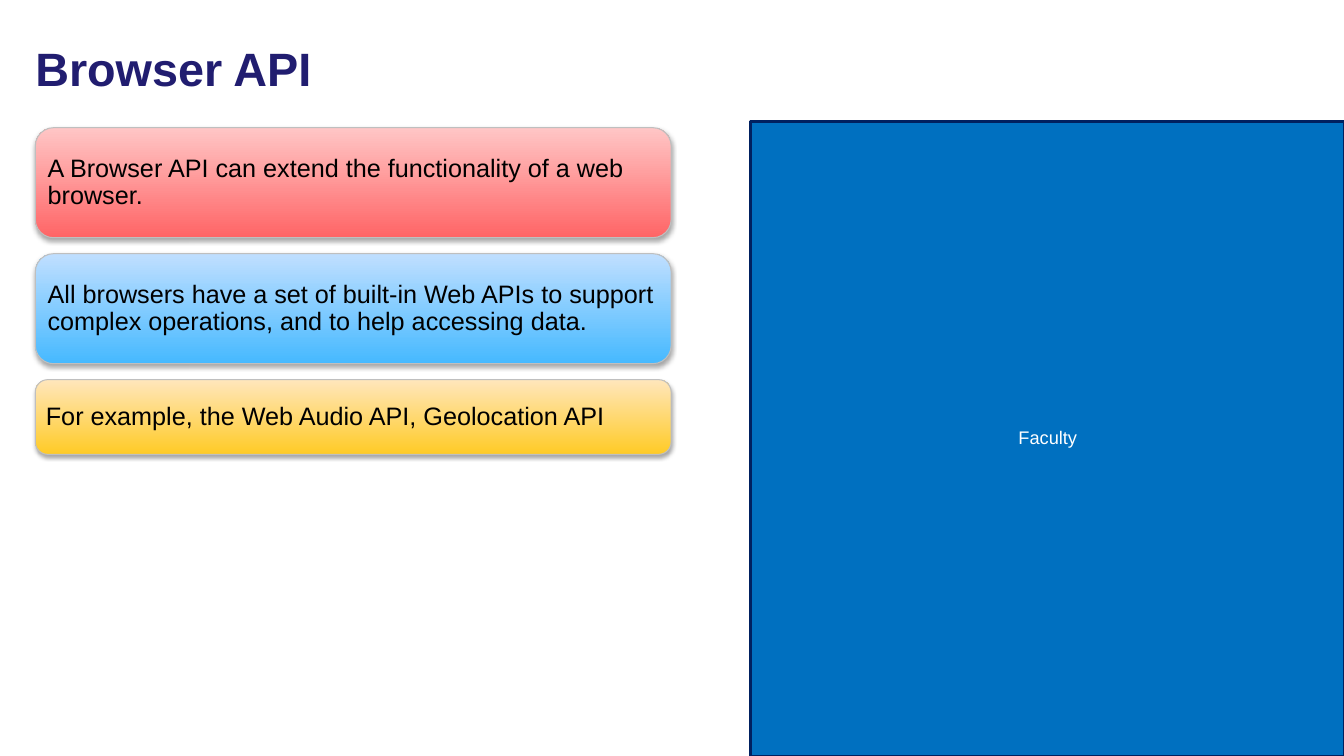
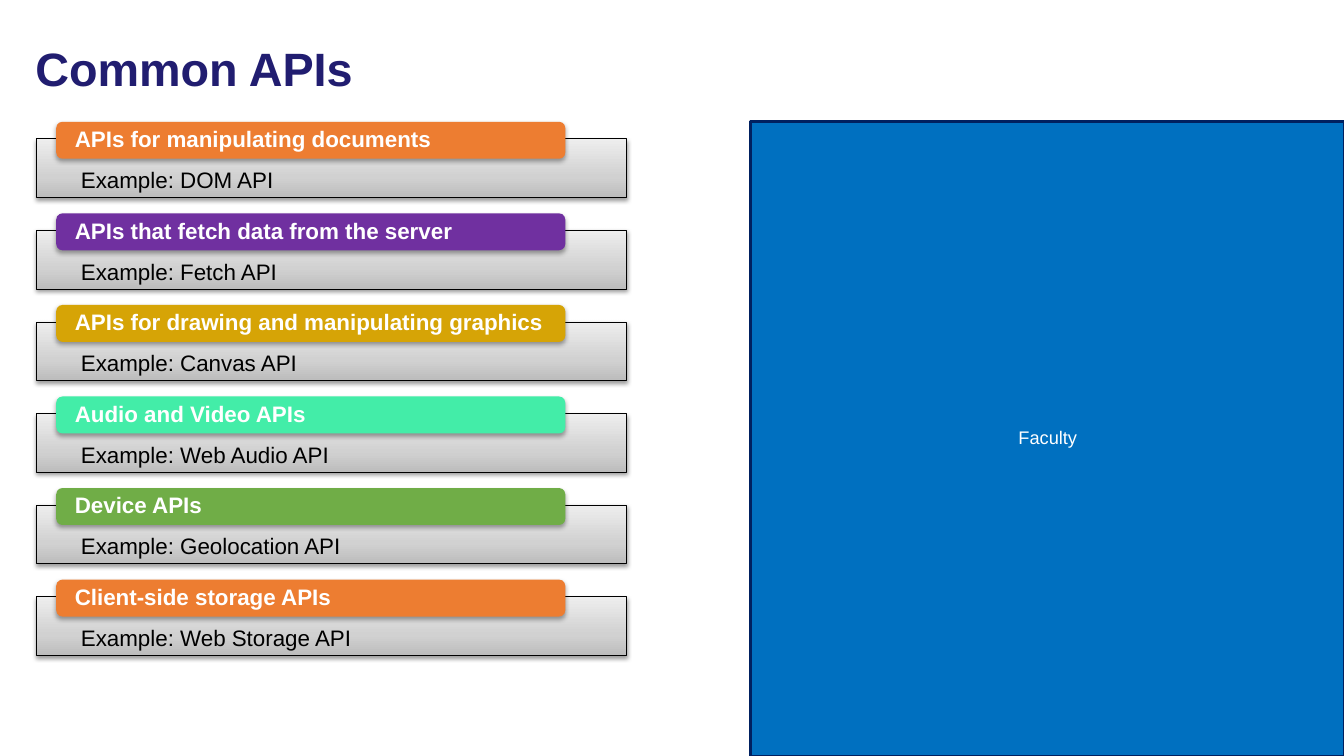
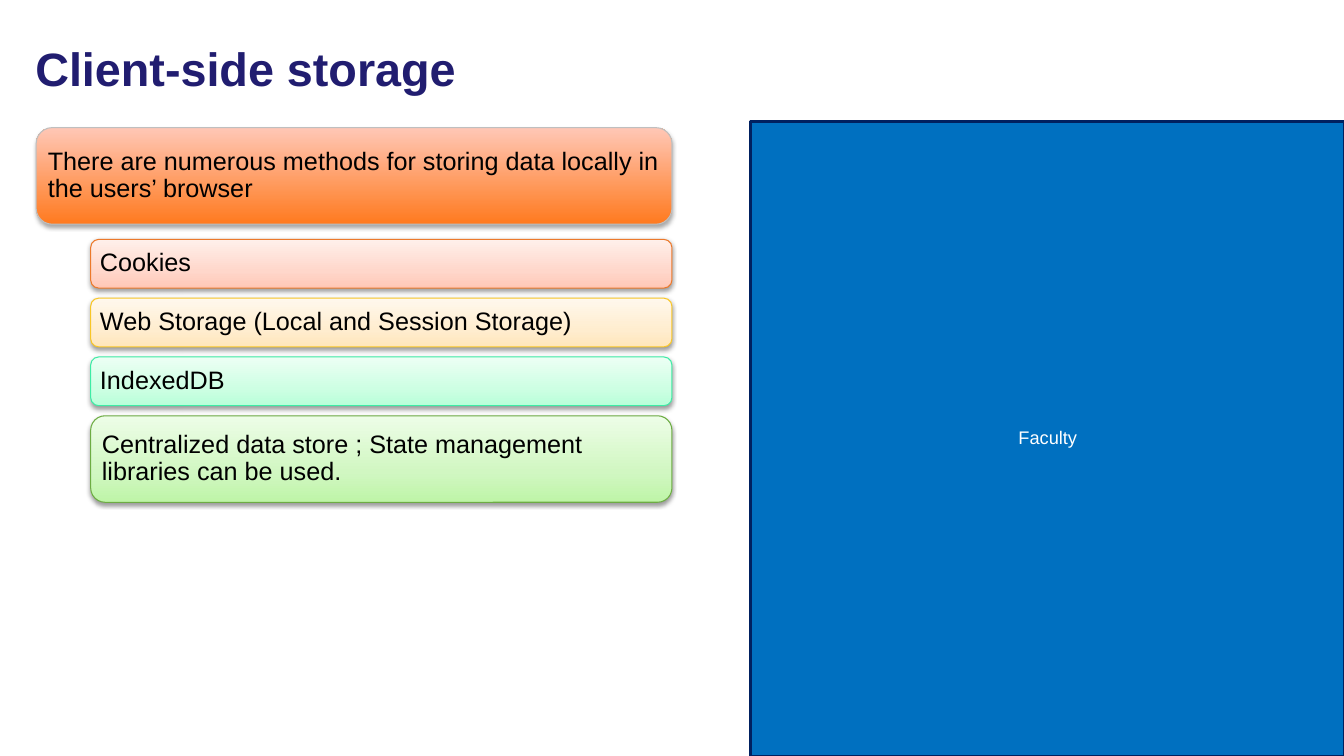
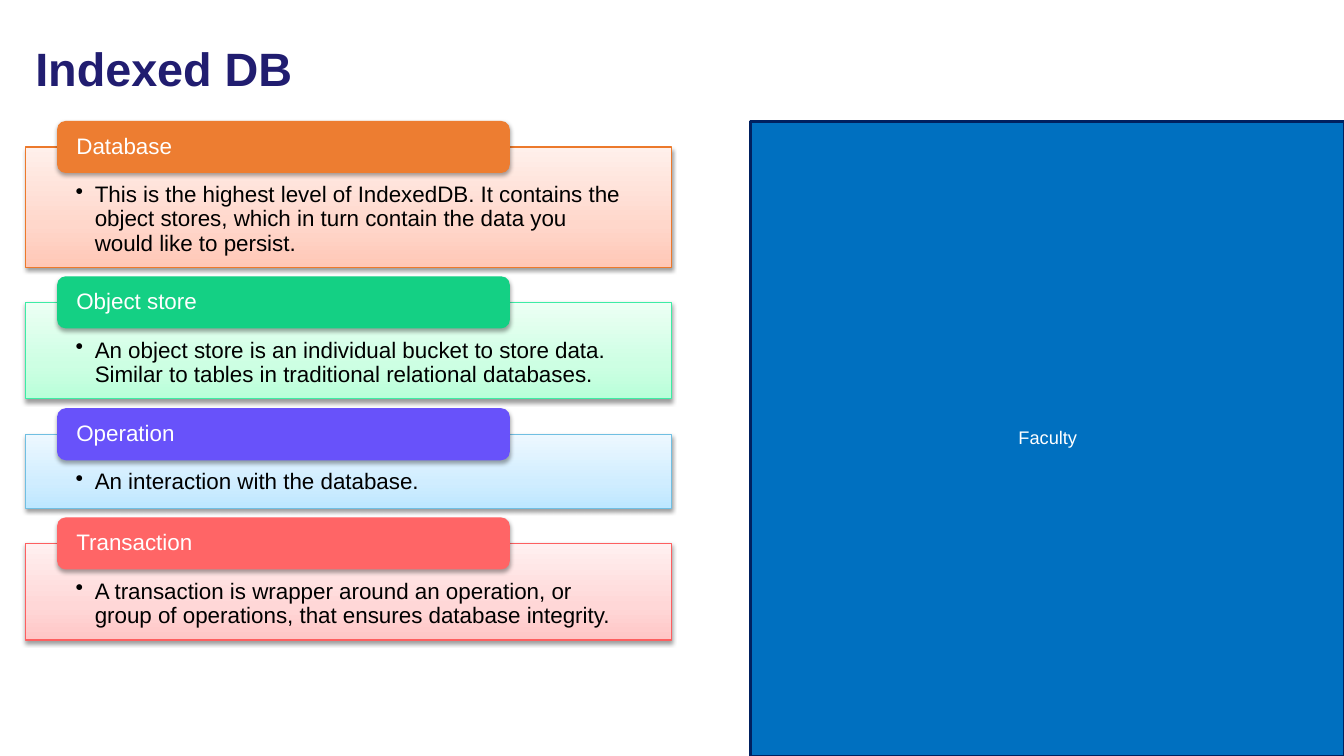
from lxml import etree
from pptx import Presentation
from pptx import util as u
from pptx.dml.color import RGBColor
from pptx.enum import shapes, text
from pptx.oxml.ns import qn

FONT = "Arial"
NAVY, WHITE, BLACK, GREY = "211D70", "FFFFFF", "000000", "BFBFBF"
ORANGE = "ED7D31"
RECT, ROUND = shapes.MSO_SHAPE.RECTANGLE, shapes.MSO_SHAPE.ROUNDED_RECTANGLE
MIDDLE, TOP = text.MSO_ANCHOR.MIDDLE, text.MSO_ANCHOR.TOP

# Gradient stops run from the bottom edge to the top edge.
SILVER = {0: "BDBDBD", 35: "D1D1D1", 100: "EEEEEE"}
PEACH = {0: "FFC7B6", 35: "FFD7CB", 100: "FFF0EB"}
CREAM = {0: "FFE6BB", 35: "FFEDCF", 100: "FFF8ED"}
MINT = {0: "B8FFD9", 35: "CDFFE3", 100: "ECFFF4"}
LIME = {0: "BEF5A7", 35: "D1F7C2", 100: "EDFDE7"}
SKY = {0: "BDE7FF", 35: "D0EDFF", 100: "EDF8FF"}
ROSE = {0: "FFC6C6", 35: "FFD7D7", 100: "FFF0F0"}

prs = Presentation()
prs.slide_width, prs.slide_height = u.Inches(13.33), u.Inches(7.5)
COLS, ROWS = 16, 9
CELL_W, CELL_H = prs.slide_width / COLS, prs.slide_height / ROWS


def rgb(color):
    return RGBColor.from_string(color)


def add_box(slide, kind, box, fill, words, line=None, weight=0.75, size=18,
            color=BLACK, bold=False, anchor=MIDDLE, insets=(5, 5, 4, 5), shadow=35):
    """Box is left, top, width, height in grid cells; fill is a hex or gradient stops;
    insets are points; shadow is its opacity in percent, 0 for none."""
    x, y, w, h = box
    sp = slide.shapes.add_shape(kind, int(x * CELL_W), int(y * CELL_H),
                                int(w * CELL_W), int(h * CELL_H))
    if isinstance(fill, dict):
        sp.fill.gradient()
        sp.fill.gradient_angle = 90
        stops = sp.element.spPr.find(".//" + qn("a:gsLst"))
        stops[:] = []
        for share, tone in fill.items():
            stop = etree.SubElement(stops, qn("a:gs"), pos=str(share * 1000))
            etree.SubElement(stop, qn("a:srgbClr"), val=tone)
    else:
        sp.fill.solid()
        sp.fill.fore_color.rgb = rgb(fill)
    if line:
        sp.line.color.rgb = rgb(line)
        sp.line.width = u.Pt(weight)
    else:
        sp.line.fill.background()

    sp.shadow.inherit = False
    if shadow:
        effects = sp.element.spPr.find(qn("a:effectLst"))
        outer = etree.SubElement(effects, qn("a:outerShdw"), blurRad="40000",
                                 dist="22000", dir="5400000", rotWithShape="0")
        tone = etree.SubElement(outer, qn("a:srgbClr"), val=BLACK)
        etree.SubElement(tone, qn("a:alpha"), val=str(shadow * 1000))

    tf = sp.text_frame
    tf.word_wrap, tf.vertical_anchor = True, anchor
    tf.margin_left, tf.margin_top, tf.margin_right, tf.margin_bottom = map(u.Pt, insets)
    tf.text = words
    p = tf.paragraphs[0]
    p.alignment, p.line_spacing = text.PP_ALIGN.LEFT, 0.9
    font = p.runs[0].font
    font.name, font.size, font.bold = FONT, u.Pt(size), bold
    font.color.rgb = rgb(color)
    return sp


# Shared layout: title style and the panel on the right
layout = prs.slide_layouts[5]
title = layout.placeholders[0]
title.left, title.top = int(0.3 * CELL_W), int(0.3 * CELL_H)
title.width, title.height = int(14.17 * CELL_W), int(1.09 * CELL_H)
title.text_frame.auto_size = text.MSO_AUTO_SIZE.NONE
title.text_frame.vertical_anchor = MIDDLE
style = title.element.txBody.find(qn("a:lstStyle"))
level = etree.SubElement(style, qn("a:lvl1pPr"), algn="l")
spacing = etree.SubElement(level, qn("a:lnSpc"))
etree.SubElement(spacing, qn("a:spcPct"), val="90000")
look = etree.SubElement(level, qn("a:defRPr"), sz="3340", b="1")
etree.SubElement(etree.SubElement(look, qn("a:solidFill")), qn("a:srgbClr"), val=NAVY)
etree.SubElement(look, qn("a:latin"), typeface=FONT)

slides = []
for heading in ["Browser API", "Common APIs", "Client-side storage", "Indexed DB"]:
    slide = prs.slides.add_slide(layout)
    slide.shapes.title.text_frame.text = heading
    slides.append(slide)
browser, common, storage, indexed = slides

panel = add_box(browser, RECT, (8.93, 1.45, COLS - 8.93, ROWS - 1.45), "0070C0", "Faculty",
                line="002060", weight=2, size=13, color=WHITE, shadow=0)
panel.text_frame.paragraphs[0].alignment = text.PP_ALIGN.CENTER
layout.shapes.element.insert(2, panel.element)

# Browser API: stacked statements
y = 1.52
for words, h, fill in [
    ("A Browser API can extend the functionality of a web browser.", 1.31,
     {0: "FF6566", 100: "FFC6C6"}),
    ("All browsers have a set of built-in Web APIs to support complex operations, "
     "and to help accessing data.", 1.31, {0: "46B9FF", 100: "C0DFFF"}),
    ("For example, the Web Audio API, Geolocation API", 0.89,
     {0: "FFCB27", 100: "FFE6BB"}),
]:
    add_box(browser, ROUND, (0.42, y, 7.57, h), fill, words, line=GREY)
    y += h + 0.19

# Common APIs: a coloured tab over each example
for i, (kind, example, color) in enumerate([
    ("APIs for manipulating documents", "DOM", ORANGE),
    ("APIs that fetch data from the server", "Fetch", "7030A0"),
    ("APIs for drawing and manipulating graphics", "Canvas", "D6A406"),
    ("Audio and Video APIs", "Web Audio", "43EDA8"),
    ("Device APIs", "Geolocation", "70AD47"),
    ("Client-side storage APIs", "Web Storage", ORANGE),
]):
    y = 1.65 + i * 1.09
    add_box(common, RECT, (0.43, y, 7.03, 0.7), SILVER, f"Example: {example} API",
            line=BLACK, weight=0.25, size=16, anchor=TOP, insets=(32, 22, 32, 7), shadow=38)
    add_box(common, ROUND, (0.67, y - 0.2, 6.06, 0.44), color, kind,
            size=16, color=WHITE, bold=True, insets=(12, 1, 12, 1))

# Client-side storage: a lead statement and its indented methods
add_box(storage, ROUND, (0.43, 1.52, 7.57, 1.15), {0: "FF7A1F", 100: "FFC7B6"},
        "There are numerous methods for storing data locally in the users’ browser", line=GREY)
y = 2.85
for words, h, fill, line in [
    ("Cookies", 0.58, PEACH, "EC792B"),
    ("Web Storage (Local and Session Storage)", 0.58, CREAM, "F8C627"),
    ("IndexedDB", 0.58, MINT, "3DECA5"),
    ("Centralized data store ; State management libraries can be used.", 1.03, LIME, "6DAC43"),
]:
    add_box(storage, ROUND, (1.08, y, 6.92, h), fill, words, line=line, shadow=38)
    y += h + 0.12

# Indexed DB: a coloured tab over each bulleted definition
y = 1.75
for term, words, h, color, fill, line in [
    ("Database", "This is the highest level of IndexedDB. It contains the object stores, "
     "which in turn contain the data you would like to persist.",
     1.43, ORANGE, PEACH, "EC792B"),
    ("Object store", "An object store is an individual bucket to store data. "
     "Similar to tables in traditional relational databases.",
     1.15, "14D084", MINT, "3DECA5"),
    ("Operation", "An interaction with the database.", 0.88, "6852FA", SKY, "70BFE2"),
    ("Transaction", "A transaction is wrapper around an operation, or group of operations, "
     "that ensures database integrity.", 1.15, "FF6566", ROSE, "FD5F60"),
]:
    sp = add_box(indexed, RECT, (0.3, y, 7.7, h), fill, words, line=line, size=16,
                 anchor=TOP, insets=(36, 26, 36, 9), shadow=38)
    pPr = sp.text_frame.paragraphs[0]._p.get_or_add_pPr()
    pPr.set("marL", str(u.Inches(0.19)))
    pPr.set("indent", str(-u.Inches(0.19)))
    etree.SubElement(pPr, qn("a:buChar"), char="•")
    add_box(indexed, ROUND, (0.68, y - 0.31, 5.39, 0.62), color, term,
            size=16, color=WHITE, insets=(12, 0, 12, 0))
    y += h + 0.42

prs.save("out.pptx")
